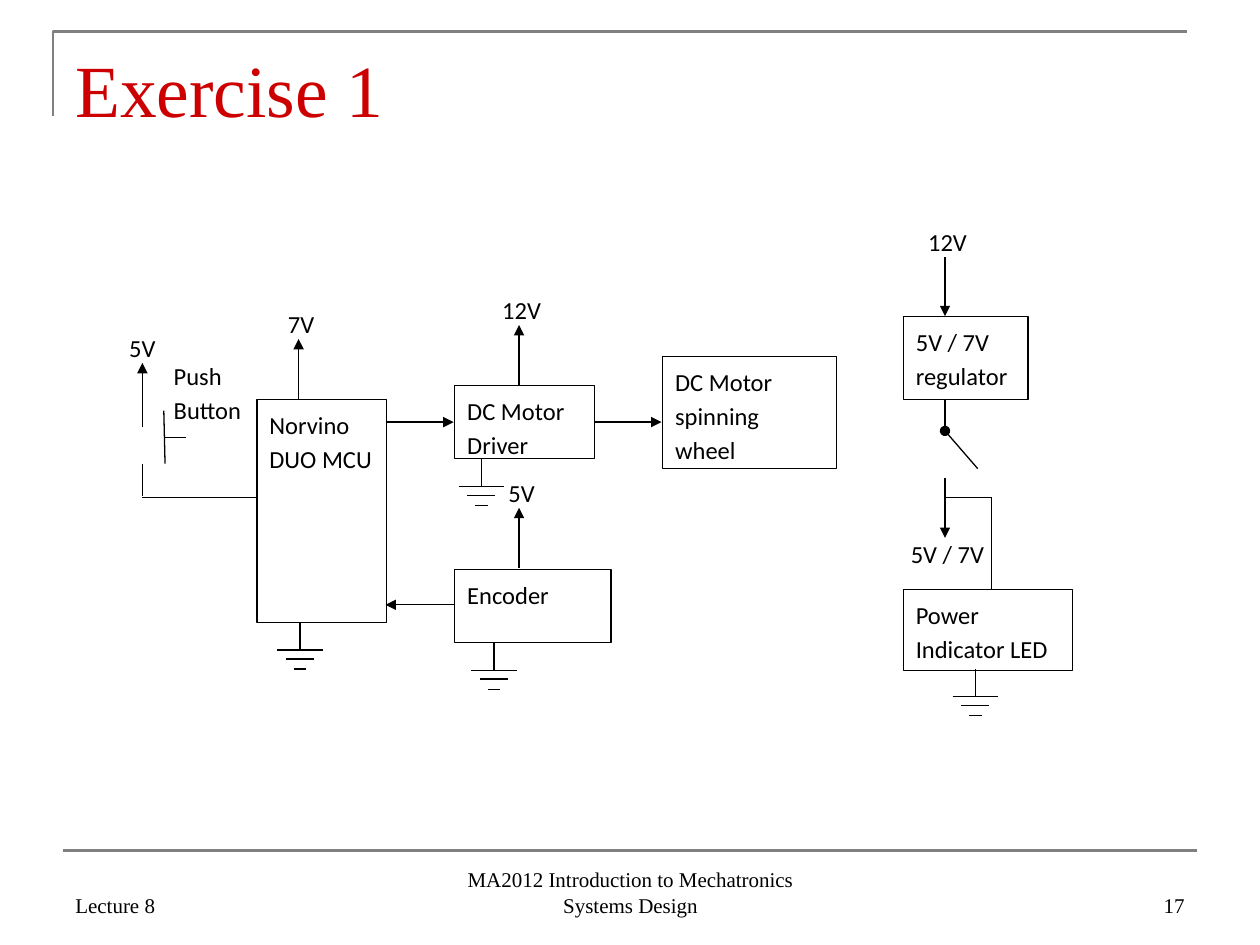
from lxml.etree import SubElement
from pptx import Presentation
from pptx.dml.color import RGBColor
from pptx.enum.shapes import MSO_CONNECTOR, MSO_SHAPE
from pptx.enum.text import MSO_ANCHOR, PP_ALIGN
from pptx.oxml.ns import qn
from pptx.util import Inches, Pt

BLACK, WHITE, GRAY, RED = "000000", "FFFFFF", "808080", "CC0000"
SERIF, SANS = "Times New Roman", "Calibri"

# Content: text, left, top, width, height
TITLE = ("Exercise 1", 0.5, 0.3, 9, 1.25)
FOOTERS = [
    ("Lecture 8", 0.5, 2.33, PP_ALIGN.LEFT),
    ("MA2012 Introduction to Mechatronics Systems Design", 3.42, 3.17, PP_ALIGN.CENTER),
    ("17", 7.17, 2.33, PP_ALIGN.RIGHT),
]
BLOCKS = [
    ("Norvino DUO MCU", 2.04, 3.17, 1.03, 1.77),
    ("DC Motor Driver", 3.61, 3.06, 1.11, 0.58),
    ("DC Motor spinning wheel", 5.26, 2.83, 1.38, 0.89),
    ("Encoder", 3.61, 4.52, 1.24, 0.58),
    ("5V / 7V regulator", 7.17, 2.51, 0.99, 0.66),
    ("Power Indicator LED", 7.17, 4.68, 1.34, 0.64),
]
# Supply labels: text, centre, top
SUPPLIES = [
    ("7V", 2.39, 2.37), ("12V", 4.14, 2.26), ("5V", 4.14, 3.71),
    ("12V", 7.52, 1.72), ("5V / 7V", 7.52, 4.19), ("5V", 1.13, 2.56),
]
BUTTON_LABEL = ("Push Button", 1.28, 2.78, 0.81, 0.58)
# Lines: x1, y1, x2, y2
ARROWS = [
    (2.37, 3.17, 2.37, 2.69), (4.12, 3.06, 4.12, 2.58), (4.12, 4.51, 4.12, 4.03),
    (3.06, 3.35, 3.6, 3.35), (4.72, 3.35, 5.25, 3.35), (3.6, 4.8, 3.06, 4.8),
    (7.5, 2.04, 7.5, 2.51), (7.5, 3.79, 7.5, 4.27), (1.13, 3.39, 1.13, 2.88),
]
WIRES = [
    (7.5, 3.17, 7.5, 3.42), (7.5, 3.95, 7.87, 3.95), (7.87, 3.95, 7.87, 4.68),
    (1.13, 3.68, 1.13, 3.94), (1.31, 3.47, 1.48, 3.47), (1.3, 3.26, 1.31, 3.68),
    (1.13, 3.95, 2.04, 3.95),
]
SWITCH_ARM = (7.5, 3.42, 7.76, 3.72)
# Ground symbols: stem x, stem top; bars: half width, drop below the stem top
GROUNDS = [(2.38, 4.94), (3.82, 3.64), (3.92, 5.1), (7.74, 5.31)]
GROUND_BARS = [(0.18, 0.22), (0.11, 0.29), (0.05, 0.37)]

deck = Presentation()
deck.slide_width, deck.slide_height = Inches(10), Inches(7.5)
page = deck.slides.add_slide(deck.slide_layouts[6])


def color(value):
    return RGBColor.from_string(value)


def write(box, text, size=14, font=SANS, ink=BLACK, align=PP_ALIGN.LEFT,
          anchor=MSO_ANCHOR.TOP, line_spacing=1.15, space_after=10):
    frame = box.text_frame
    frame.word_wrap = True
    frame.vertical_anchor = anchor
    para = frame.paragraphs[0]
    para.alignment = align
    para.line_spacing = line_spacing
    para.space_after = Pt(space_after)
    span = para.add_run()
    span.text = text
    span.font.size = Pt(size)
    span.font.name = font
    span.font.color.rgb = color(ink)


def add_text(text, left, top, width, height, **style):
    box = page.shapes.add_textbox(Inches(left), Inches(top), Inches(width), Inches(height))
    write(box, text, **style)


def add_block(text, left, top, width, height):
    box = page.shapes.add_shape(MSO_SHAPE.RECTANGLE, Inches(left), Inches(top),
                                Inches(width), Inches(height))
    box.shadow.inherit = False
    box.fill.solid()
    box.fill.fore_color.rgb = color(WHITE)
    box.line.color.rgb = color(BLACK)
    box.line.width = Pt(0.75)
    write(box, text)


def add_line(x1, y1, x2, y2, ink=BLACK, weight=0.75, head=None, tail=None):
    line = page.shapes.add_connector(MSO_CONNECTOR.STRAIGHT, Inches(x1), Inches(y1),
                                     Inches(x2), Inches(y2))
    line.line.color.rgb = color(ink)
    line.line.width = Pt(weight)
    outline = line.line._get_or_add_ln()
    for tag, kind in (("a:headEnd", head), ("a:tailEnd", tail)):
        if kind:
            SubElement(outline, qn(tag), type=kind)
    SubElement(line._element.spPr, qn("a:effectLst"))


# Page frame, title and footer
builder = page.shapes.build_freeform(Inches(0.42), Inches(0.92))
builder.add_line_segments([(Inches(0.42), Inches(0.25)), (Inches(9.42), Inches(0.25))],
                          close=False)
corner = builder.convert_to_shape()
corner.shadow.inherit = False
corner.fill.background()
corner.line.color.rgb = color(GRAY)
corner.line.width = Pt(1.5)
add_line(0.5, 6.75, 9.5, 6.75, ink=GRAY, weight=1.5)
add_text(*TITLE, size=42, font=SERIF, ink=RED, line_spacing=1, space_after=0)
for text, left, width, align in FOOTERS:
    add_text(text, left, 6.83, width, 0.5, size=12, font=SERIF, align=align,
             anchor=MSO_ANCHOR.BOTTOM, line_spacing=1, space_after=0)

# Blocks and labels
for block in BLOCKS:
    add_block(*block)
for text, center, top in SUPPLIES:
    add_text(text, center - 0.48, top, 0.96, 0.32, align=PP_ALIGN.CENTER)
add_text(*BUTTON_LABEL)

# Arrows, wires and switch
for arrow in ARROWS:
    add_line(*arrow, tail="triangle")
for wire in WIRES:
    add_line(*wire)
add_line(*SWITCH_ARM, head="oval")

# Ground symbols
for x, top in GROUNDS:
    add_line(x, top, x, top + GROUND_BARS[0][1])
    for half, drop in GROUND_BARS:
        add_line(x - half, top + drop, x + half, top + drop)

deck.save("out.pptx")
